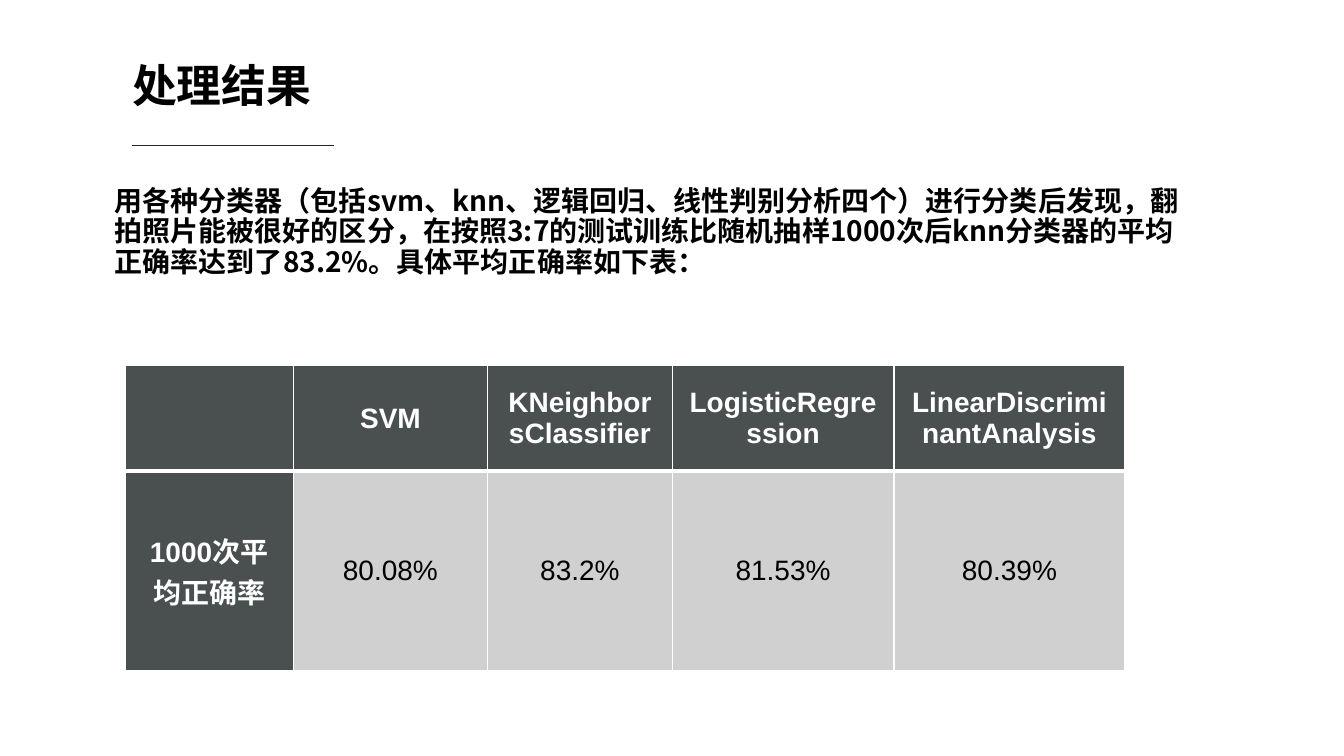
from lxml import etree
from pptx import Presentation
from pptx import util as u
from pptx.dml.color import RGBColor
from pptx.enum import shapes, text
from pptx.oxml.ns import qn


def rgb(value):
    return RGBColor.from_string(value)


class ResultSlide:
    LATIN = "Arial"
    CJK = "Noto Sans CJK SC"
    BLACK = "000000"
    WHITE = "FFFFFF"
    RULE = "262626"
    DARK = "4A4F4F"
    LIGHT = "D0D0D0"
    INSET = {"margin_left": u.Cm(0.36), "margin_right": u.Cm(0.36),
             "margin_top": 0, "margin_bottom": 0,
             "vertical_anchor": text.MSO_ANCHOR.MIDDLE}

    def __init__(self, prs):
        self.slide = prs.slides.add_slide(prs.slide_layouts[1])

    def apply(self, target, values):
        for name, value in values.items():
            setattr(target, name, value)

    def add_text(self, p, content, size, color, latin, bold=True):
        r = p.add_run()
        r.text = content
        self.apply(r.font, {"size": u.Pt(size), "bold": bold, "name": latin})
        r.font.color.rgb = rgb(color)
        ea = etree.SubElement(r._r.get_or_add_rPr(), qn("a:ea"))
        ea.set("typeface", self.CJK)

    def placeholder(self, sp, box, content, size, anchor, insets, spacing):
        left, top, width, height = (u.Cm(v) for v in box)
        self.apply(sp, {"left": left, "top": top, "width": width, "height": height})
        side, edge = (u.Cm(v) for v in insets)
        tf = sp.text_frame
        self.apply(tf, {"word_wrap": True, "auto_size": text.MSO_AUTO_SIZE.NONE,
                        "vertical_anchor": anchor,
                        "margin_left": side, "margin_right": side,
                        "margin_top": edge, "margin_bottom": edge})
        p = tf.paragraphs[0]
        self.apply(p, {"alignment": text.PP_ALIGN.LEFT, "space_before": u.Pt(0),
                       "line_spacing": spacing})
        pPr = p._p.get_or_add_pPr()
        pPr.set("marL", "0")
        pPr.set("indent", "0")
        etree.SubElement(pPr, qn("a:buNone"))
        self.add_text(p, content, size, self.BLACK, self.CJK)

    def title(self, content, box):
        self.placeholder(self.slide.shapes.title, box, content, 32,
                         text.MSO_ANCHOR.MIDDLE, (0.18, 0.1), 1.0)

    def body(self, content, box):
        self.placeholder(self.slide.placeholders[1], box, content, 20,
                         text.MSO_ANCHOR.TOP, (0.25, 0.13), 0.91)

    def rule(self, left, right, y):
        line = self.slide.shapes.add_connector(
            shapes.MSO_CONNECTOR.STRAIGHT, u.Cm(left), u.Cm(y), u.Cm(right), u.Cm(y))
        line.line.width = u.Pt(0.75)
        line.line.color.rgb = rgb(self.RULE)
        etree.SubElement(line._element.spPr, qn("a:effectLst"))

    def borders(self, cell, widths):
        tcPr = cell._tc.get_or_add_tcPr()
        for side, width in zip("LRTB", widths):
            ln = etree.SubElement(tcPr, qn(f"a:ln{side}"), w=str(u.Pt(width)))
            fill = etree.SubElement(ln, qn("a:solidFill"))
            etree.SubElement(fill, qn("a:srgbClr"), val=self.WHITE)

    def table(self, rows, left, top, widths, heights):
        frame = self.slide.shapes.add_table(
            len(rows), len(widths), u.Cm(left), u.Cm(top),
            u.Cm(sum(widths)), u.Cm(sum(heights)))
        table = frame.table
        for column, width in zip(table.columns, widths):
            column.width = u.Cm(width)
        for row, height in zip(table.rows, heights):
            row.height = u.Cm(height)
        for i, row in enumerate(rows):
            for j, content in enumerate(row):
                cell = table.cell(i, j)
                heading = i == 0 or j == 0
                self.apply(cell, self.INSET)
                self.borders(cell, (1, 1, 3 if i == 1 else 1, 3 if i == 0 else 1))
                cell.fill.solid()
                cell.fill.fore_color.rgb = rgb(self.DARK if heading else self.LIGHT)
                if content:
                    p = cell.text_frame.paragraphs[0]
                    p.alignment = text.PP_ALIGN.CENTER
                    self.add_text(p, content, 20, self.WHITE if heading else self.BLACK,
                                  self.LATIN, heading)


def main():
    prs = Presentation()
    prs.slide_width, prs.slide_height = u.Cm(33.87), u.Cm(19.05)
    s = ResultSlide(prs)
    s.title("处理结果", (3.15, 1.35, 11.68, 1.55))
    s.rule(3.33, 8.41, 3.66)
    s.body("用各种分类器（包括svm、knn、逻辑回归、线性判别分析四个）进行分类后发现，"
           "翻拍照片能被很好的区分，在按照3:7的测试训练比随机抽样1000次后knn分类器的"
           "平均正确率达到了83.2%。具体平均正确率如下表：", (2.64, 4.57, 27.51, 3.02))
    s.table([["", "SVM", "KNeighborsClassifier", "LogisticRegression",
              "LinearDiscriminantAnalysis"],
             ["1000次平均正确率", "80.08%", "83.2%", "81.53%", "80.39%"]],
            3.15, 9.22, (4.24, 4.9, 4.65, 5.59, 5.82), (2.64, 5.05))
    prs.save("out.pptx")


if __name__ == "__main__":
    main()
